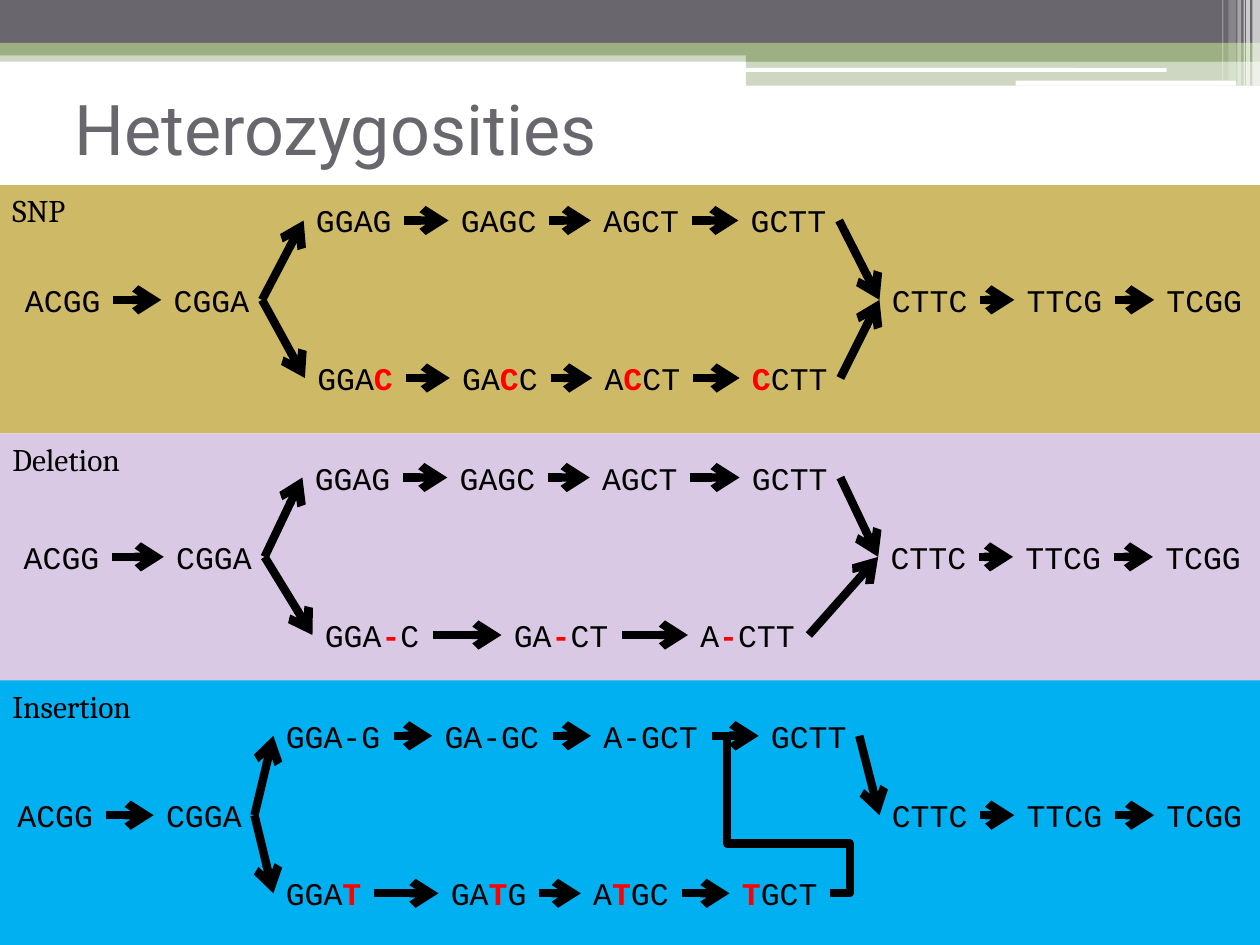
from dataclasses import dataclass
from itertools import pairwise

from lxml.etree import SubElement
from pptx import Presentation
from pptx.dml.color import RGBColor as Color
from pptx.enum.shapes import MSO_CONNECTOR as Connector, MSO_SHAPE as Shape
from pptx.enum.text import MSO_ANCHOR as Anchor, MSO_AUTO_SIZE as AutoSize
from pptx.oxml.ns import qn
from pptx.util import Emu, Pt

EMU_PER_PX = 9144
NODE_HEIGHT = 40
TOP_LANE, BOTTOM_LANE = -63, 62


@dataclass(frozen=True)
class Theme:
    gray: str = "69676D"
    green: str = "9CB084"
    white: str = "FFFFFF"
    black: str = "000000"
    red: str = "FF0000"
    gold: str = "CEB966"
    lilac: str = "DAC9E4"
    blue: str = "00B0F0"
    title_font: str = "Roboto"
    label_font: str = "Cambria"
    code_font: str = "Courier New"
    title_size: float = 40
    body_size: float = 18
    arrow_width: float = 4.75


THEME = Theme()


@dataclass(frozen=True)
class Block:
    left: int
    top: int
    width: int
    height: int
    color: str
    opacity: int = 100
    shape: Shape = Shape.RECTANGLE


@dataclass(frozen=True)
class Node:
    left: int
    text: str

    @property
    def width(self) -> int:
        return 16 + 16 * len(self.text.replace("*", ""))

    @property
    def right(self) -> int:
        return self.left + self.width


@dataclass(frozen=True)
class Panel:
    label: str
    label_width: int
    block: Block
    middle: int
    start: list[Node]
    upper: list[Node]
    lower: list[Node]
    end: list[Node]
    lower_joins_end: bool = True


HEADER = [
    Block(0, 40, 1000, 9, THEME.green, 50),
    Block(0, 0, 1000, 34, THEME.gray),
    Block(0, 34, 1000, 10, THEME.green),
    Block(592, 39, 408, 10, THEME.green),
    Block(592, 48, 408, 20, THEME.green, 50),
    Block(591, 54, 335, 3, THEME.white, shape=Shape.ROUNDED_RECTANGLE),
    Block(806, 64, 175, 4, THEME.white, shape=Shape.ROUNDED_RECTANGLE),
    Block(994, 0, 6, 68, THEME.white, 65),
    Block(989, 0, 3, 68, THEME.white, 65),
    Block(987, 0, 1, 68, THEME.white, 60),
    Block(982, 0, 3, 68, THEME.white, 40),
    Block(975, 0, 6, 64, THEME.white, 20),
    Block(970, 0, 1, 64, THEME.white, 30),
]

PANELS = [
    Panel(
        "SNP", 72, Block(0, 147, 1000, 197, THEME.gold), 218,
        [Node(10, "ACGG"), Node(128, "CGGA")],
        [Node(241, "GGAG"), Node(356, "GAGC"), Node(469, "AGCT"), Node(586, "GCTT")],
        [Node(242, "GGA*C*"), Node(357, "GA*C*C"), Node(470, "A*C*CT"), Node(587, "*C*CTT")],
        [Node(698, "CTTC"), Node(805, "TTCG"), Node(916, "TCGG")],
    ),
    Panel(
        "Deletion", 113, Block(0, 344, 1000, 197, THEME.lilac), 422,
        [Node(9, "ACGG"), Node(130, "CGGA")],
        [Node(240, "GGAG"), Node(355, "GAGC"), Node(468, "AGCT"), Node(587, "GCTT")],
        [Node(248, "GGA*-*C"), Node(398, "GA*-*CT"), Node(546, "A*-*CTT")],
        [Node(697, "CTTC"), Node(804, "TTCG"), Node(915, "TCGG")],
    ),
    Panel(
        "Insertion", 117, Block(0, 540, 1000, 210, THEME.blue), 627,
        [Node(4, "ACGG"), Node(122, "CGGA")],
        [Node(217, "GGA-G"), Node(343, "GA-GC"), Node(469, "A-GCT"), Node(602, "GCTT")],
        [Node(217, "GGA*T*"), Node(348, "GA*T*G"), Node(461, "A*T*GC"), Node(579, "*T*GCT")],
        [Node(698, "CTTC"), Node(805, "TTCG"), Node(916, "TCGG")],
        lower_joins_end=False,
    ),
]


def px(value: int) -> Emu:
    return Emu(value * EMU_PER_PX)


def draw_block(slide, block: Block) -> None:
    shape = slide.shapes.add_shape(
        block.shape, px(block.left), px(block.top), px(block.width), px(block.height)
    )
    shape.shadow.inherit = False
    shape.line.fill.background()
    shape.fill.solid()
    shape.fill.fore_color.rgb = Color.from_string(block.color)
    if block.opacity < 100:
        color = shape.fill._xPr.find(".//" + qn("a:srgbClr"))
        SubElement(color, qn("a:alpha"), val=str(block.opacity * 1000))


def draw_text(slide, left: int, top: int, width: int, height: int, text: str,
              font: str, size: float, color: str = THEME.black):
    shape = slide.shapes.add_textbox(px(left), px(top), px(width), px(height))
    frame = shape.text_frame
    frame.word_wrap = False
    frame.auto_size = AutoSize.SHAPE_TO_FIT_TEXT
    for index, part in enumerate(text.split("*")):
        if part:
            marked = index % 2 == 1
            run = frame.paragraphs[0].add_run()
            run.text = part
            run.font.name = font
            run.font.size = Pt(size)
            run.font.bold = marked
            run.font.color.rgb = Color.from_string(THEME.red if marked else color)
    return frame


def draw_title(slide, text: str) -> None:
    frame = draw_text(slide, 59, 68, 925, 94, text,
                      THEME.title_font, THEME.title_size, THEME.gray)
    frame.word_wrap = True
    frame.auto_size = AutoSize.NONE
    frame.vertical_anchor = Anchor.TOP
    frame.margin_left = frame.margin_top = frame.margin_right = frame.margin_bottom = 0


def draw_arrow(slide, start: tuple[int, int], end: tuple[int, int],
               kind: Connector = Connector.STRAIGHT):
    arrow = slide.shapes.add_connector(kind, *map(px, start + end))
    arrow.line.color.rgb = Color.from_string(THEME.black)
    arrow.line.width = Pt(THEME.arrow_width)
    SubElement(arrow.line._get_or_add_ln(), qn("a:tailEnd"), type="arrow")
    SubElement(arrow._element.spPr, qn("a:effectLst"))
    return arrow


def draw_detour(slide, start: tuple[int, int], end: tuple[int, int]) -> None:
    arrow = draw_arrow(slide, start, end, Connector.ELBOW)
    geometry = arrow._element.spPr.find(qn("a:prstGeom"))
    geometry.set("prst", "bentConnector5")
    guides = geometry.find(qn("a:avLst"))
    for number, value in enumerate((-27100, 31600, 143500), start=1):
        SubElement(guides, qn("a:gd"), name=f"adj{number}", fmla=f"val {value}")


def draw_chain(slide, nodes: list[Node], top: int) -> None:
    for node in nodes:
        draw_text(slide, node.left, top, node.width, NODE_HEIGHT, node.text,
                  THEME.code_font, THEME.body_size)
    center = top + NODE_HEIGHT // 2
    for first, second in pairwise(nodes):
        draw_arrow(slide, (first.right, center), (second.left, center))


def draw_panel(slide, panel: Panel) -> None:
    draw_block(slide, panel.block)
    draw_text(slide, 0, panel.block.top, panel.label_width, NODE_HEIGHT, panel.label,
              THEME.label_font, THEME.body_size)
    center = panel.middle + NODE_HEIGHT // 2
    upper, lower = center + TOP_LANE, center + BOTTOM_LANE
    draw_chain(slide, panel.start, panel.middle)
    draw_chain(slide, panel.upper, panel.middle + TOP_LANE)
    draw_chain(slide, panel.lower, panel.middle + BOTTOM_LANE)
    draw_chain(slide, panel.end, panel.middle)
    fork, join = (panel.start[-1].right, center), (panel.end[0].left, center)
    draw_arrow(slide, fork, (panel.upper[0].left, upper))
    draw_arrow(slide, fork, (panel.lower[0].left, lower))
    draw_arrow(slide, (panel.upper[-1].right, upper), join)
    lower_exit = (panel.lower[-1].right, lower)
    if panel.lower_joins_end:
        draw_arrow(slide, lower_exit, join)
    else:
        draw_detour(slide, lower_exit, (panel.upper[-1].left, upper))


def main() -> None:
    presentation = Presentation()
    presentation.slide_width, presentation.slide_height = px(1000), px(750)
    slide = presentation.slides.add_slide(presentation.slide_layouts[6])
    for block in HEADER:
        draw_block(slide, block)
    draw_title(slide, "Heterozygosities")
    for panel in PANELS:
        draw_panel(slide, panel)
    presentation.save("out.pptx")


if __name__ == "__main__":
    main()
